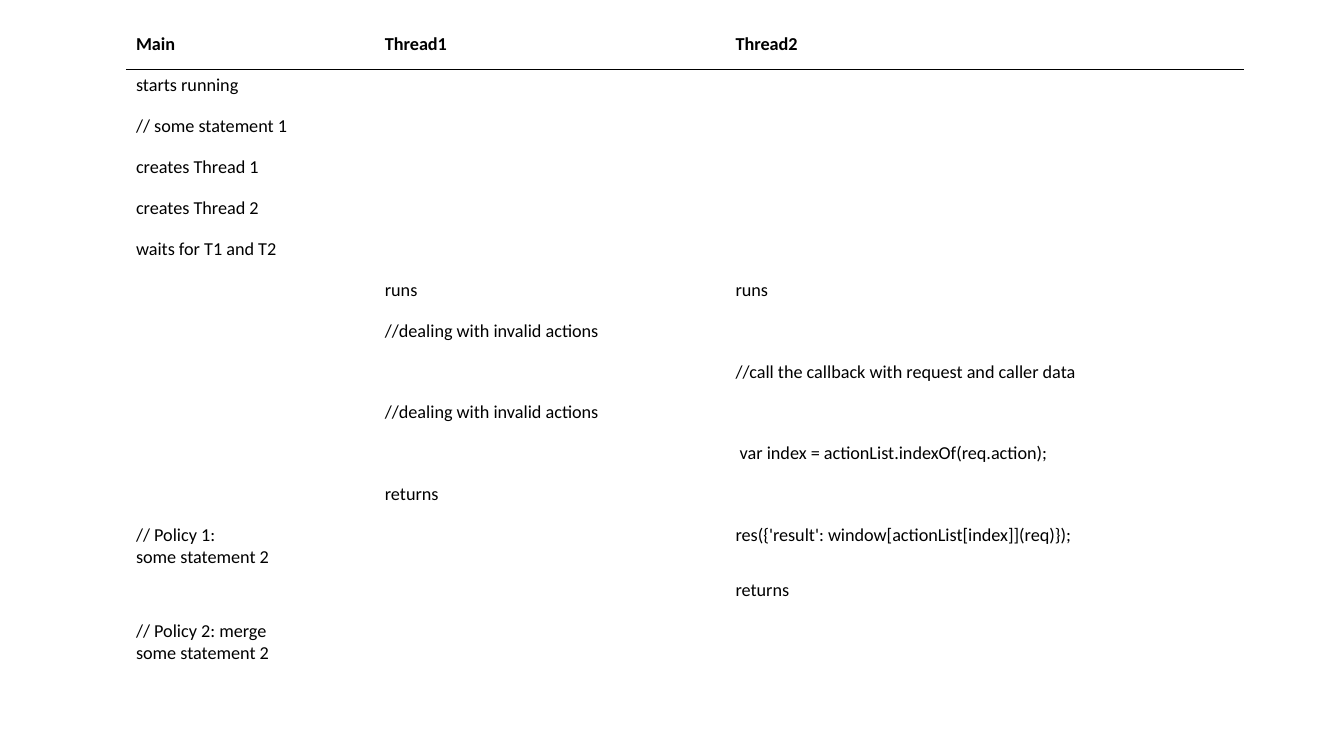
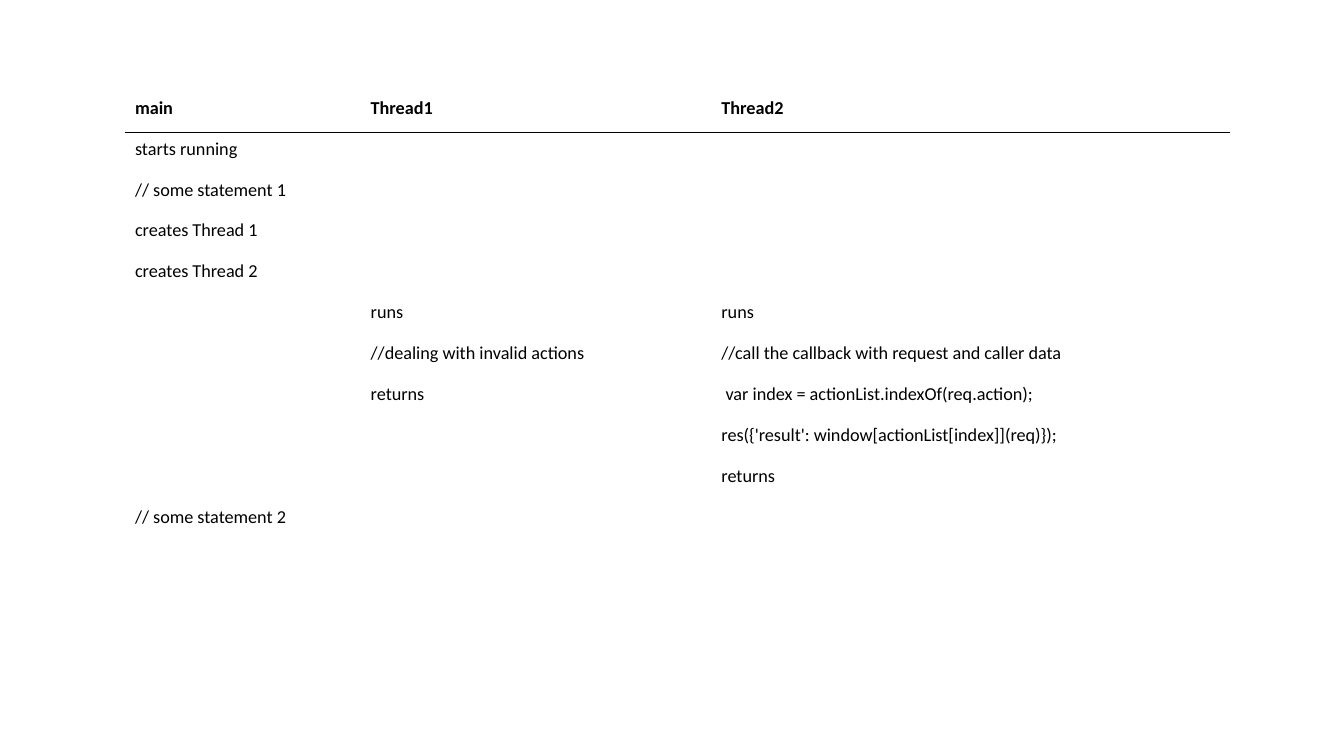
from dataclasses import dataclass

from lxml.etree import SubElement
from pptx import Presentation
from pptx.dml.color import RGBColor
from pptx.enum.text import MSO_ANCHOR
from pptx.oxml.ns import qn
from pptx.slide import Slide
from pptx.table import _Cell as Cell
from pptx.util import Emu, Pt

PX = 4762.5  # EMU per px, at 192 px to the inch
ROW_H, TALL_ROW_H = 78, 105


@dataclass(frozen=True)
class Theme:
    font: str = "Calibri"
    size: int = 13
    ink: str = "000000"


@dataclass(frozen=True)
class Trace:
    """An execution trace: one column per thread, one row per time step."""
    left: int
    top: int
    cols: tuple[int, int, int]
    rule_pt: float
    rows: tuple[tuple[str, str, str], ...]


THEME = Theme()

# Steps that both traces share
START = (
    ("starts running", "", ""),
    ("// some statement 1", "", ""),
    ("creates Thread 1", "", ""),
    ("creates Thread 2", "", ""),
)
RUNS = ("", "runs", "runs")
INVALID = "//dealing with invalid actions"
CALLBACK = "//call the callback with request and caller data"
LOOKUP = " var index = actionList.indexOf(req.action);"
RESULT = "res({'result': window[actionList[index]](req)});"

TRACES = (
    Trace(240, 54, (474, 668, 987), 0.25, (
        ("Main", "Thread1", "Thread2"),
        *START,
        ("waits for T1 and T2", "", ""),
        RUNS,
        ("", INVALID, ""),
        ("", "", CALLBACK),
        ("", INVALID, ""),
        ("", "", LOOKUP),
        ("", "returns", ""),
        ("// Policy 1:\nsome statement 2", "", RESULT),
        ("", "", "returns"),
        ("// Policy 2: merge\nsome statement 2", "", ""),
    )),
    Trace(238, 175, (449, 668, 987), 1, (
        ("main", "Thread1", "Thread2"),
        *START,
        RUNS,
        ("", INVALID, CALLBACK),
        ("", "returns", LOOKUP),
        ("", "", RESULT),
        ("", "", "returns"),
        ("// some statement 2", "", ""),
    )),
)


def px(n: int) -> Emu:
    return Emu(round(n * PX))


def set_borders(cell: Cell, ruled_side: str, width: float) -> None:
    """Rule one side of a cell and clear the others."""
    tc_pr = cell._tc.get_or_add_tcPr()
    for side in ("lnL", "lnR", "lnT", "lnB"):
        ln = SubElement(tc_pr, qn(f"a:{side}"))
        if side == ruled_side:
            ln.set("w", str(Pt(width)))
            fill = SubElement(ln, qn("a:solidFill"))
            SubElement(fill, qn("a:srgbClr")).set("val", THEME.ink)
        else:
            SubElement(ln, qn("a:noFill"))


def fill_cell(cell: Cell, text: str, bold: bool) -> None:
    cell.fill.background()
    cell.vertical_anchor = MSO_ANCHOR.TOP
    if not text:
        return
    tf = cell.text_frame
    tf.text = text
    for p in tf.paragraphs:
        for r in p.runs:
            r.font.name = THEME.font
            r.font.size = Pt(THEME.size)
            r.font.bold = bold
            r.font.color.rgb = RGBColor.from_string(THEME.ink)


def draw_trace(s: Slide, trace: Trace) -> None:
    heights = [TALL_ROW_H if any("\n" in text for text in row) else ROW_H
               for row in trace.rows]
    table = s.shapes.add_table(
        len(trace.rows), len(trace.cols), px(trace.left), px(trace.top),
        px(sum(trace.cols)), px(sum(heights))).table
    table.first_row = table.horz_banding = False
    for col, width in zip(table.columns, trace.cols):
        col.width = px(width)

    # The rule lies between the header and the first step
    ruled_sides = {0: "lnB", 1: "lnT"}
    for i, row in enumerate(trace.rows):
        table.rows[i].height = px(heights[i])
        for j, text in enumerate(row):
            cell = table.cell(i, j)
            set_borders(cell, ruled_sides.get(i, ""), trace.rule_pt)
            fill_cell(cell, text, bold=i == 0)


def main() -> None:
    prs = Presentation()
    prs.slide_width, prs.slide_height = px(2560), px(1440)
    blank = prs.slide_layouts[6]
    for trace in TRACES:
        draw_trace(prs.slides.add_slide(blank), trace)
    prs.save("out.pptx")


if __name__ == "__main__":
    main()
